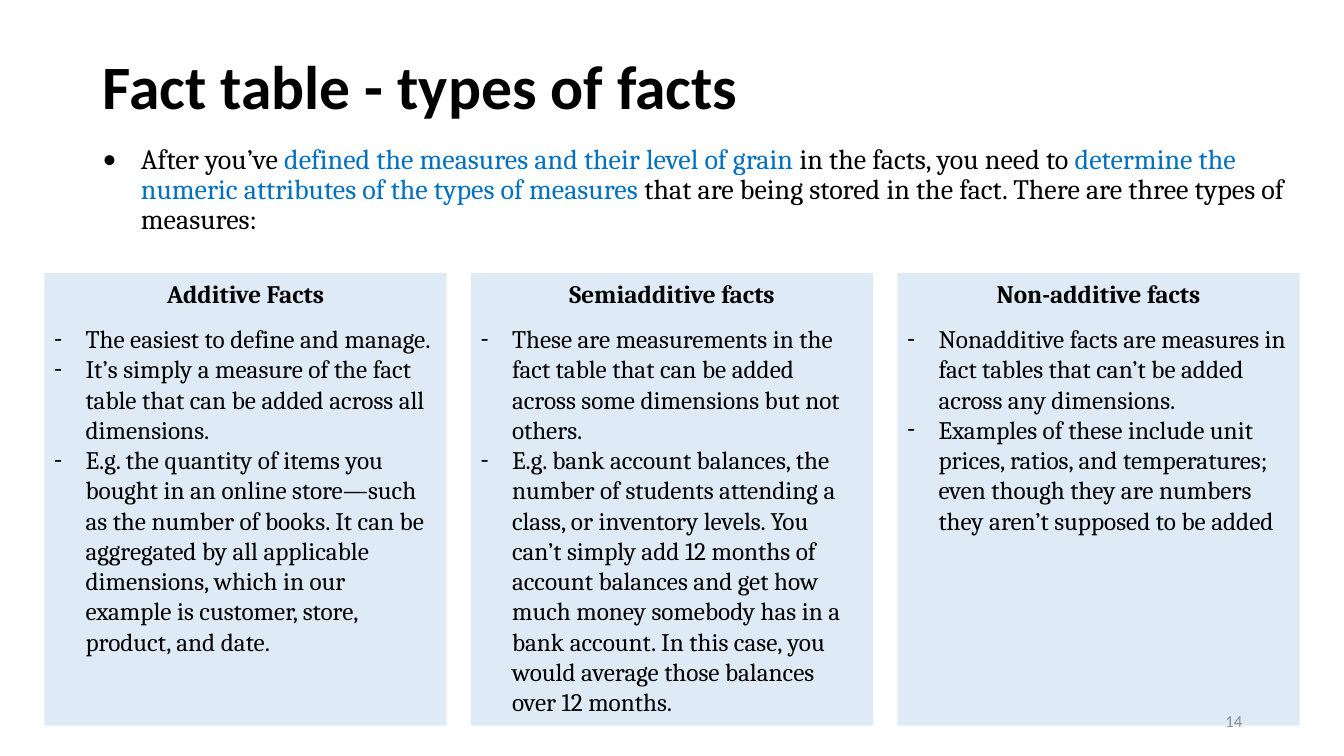
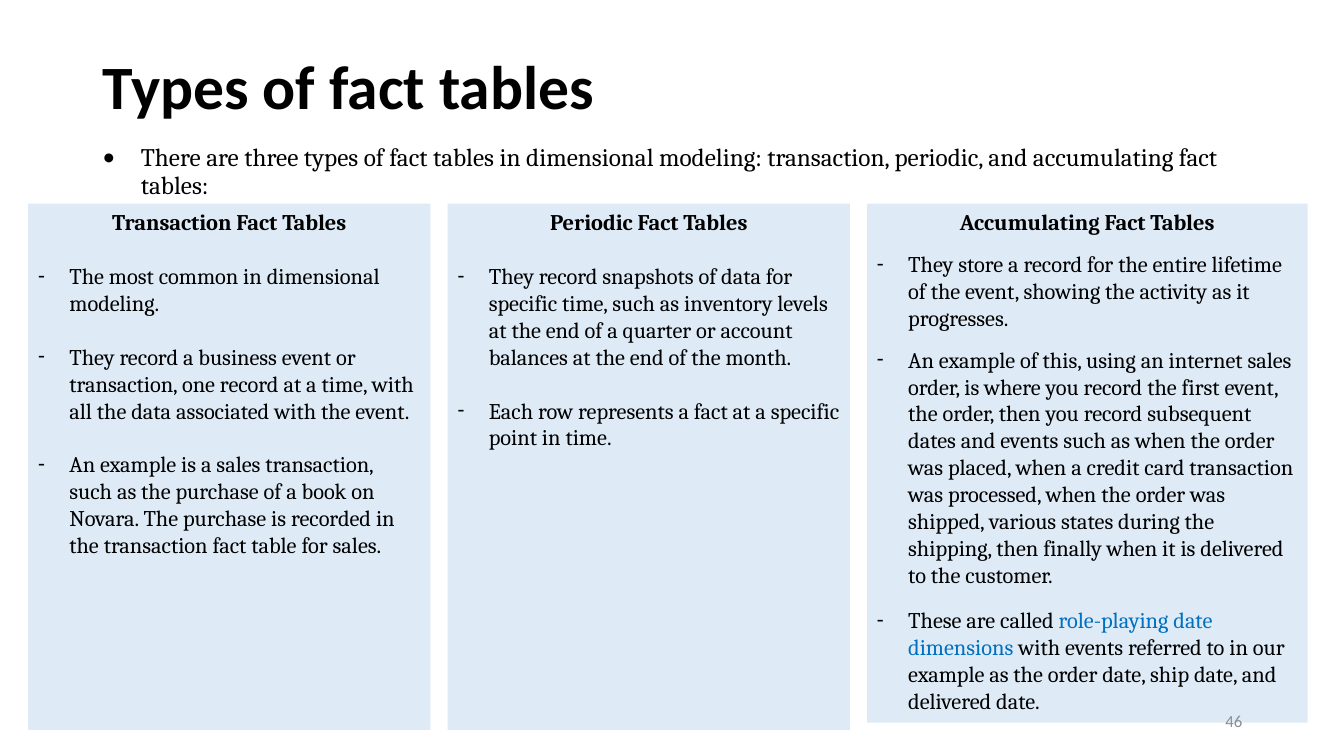
from lxml.etree import SubElement
from pptx import Presentation
from pptx.dml.color import RGBColor
from pptx.enum.shapes import MSO_SHAPE
from pptx.enum.text import MSO_ANCHOR, PP_ALIGN
from pptx.oxml.ns import qn
from pptx.util import Inches, Pt

# Theme: colours and type styles
theme = {
    "ink": RGBColor(0x00, 0x00, 0x00),
    "accent": RGBColor(0x00, 0x70, 0xC0),
    "panel": RGBColor(0xDE, 0xEB, 0xF7),
    "grey": RGBColor(0x8C, 0x8C, 0x8C),
    "title": {"name": "Calibri", "size": Pt(44), "bold": True},
    "text": {"name": "Cambria", "bold": False},
    "head": {"name": "Cambria", "bold": True},
    "page": {"name": "Calibri", "size": Pt(12), "bold": False},
}

# Content: text between bars is set in the accent colour;
# each panel point is (space before in points, text)
pages = [
    {
        "title": "Fact table - types of facts",
        "intro": "After you’ve |defined the measures and their level of grain |in the facts, "
                 "you need to |determine the numeric attributes of the types of measures |that are "
                 "being stored in the fact. There are three types of measures:",
        "number": "14", "intro size": 20, "size": 18,
        "left": 0.44, "top": 2.71, "gap": 0.24,
        "panels": [
            ("Additive Facts", 3.99, 4.49, [
                (10.8, "The easiest to define and manage."),
                (0, "It’s simply a measure of the fact table that can be added across all "
                    "dimensions."),
                (0, "E.g. the quantity of items you bought in an online store—such as the number "
                    "of books. It can be aggregated by all applicable dimensions, which in our "
                    "example is customer, store, product, and date."),
            ]),
            ("Semiadditive facts", 3.99, 4.49, [
                (10.8, "These are measurements in the fact table that can be added across some "
                       "dimensions but not others."),
                (0, "E.g. bank account balances, the number of students attending a class, or "
                    "inventory levels. You can’t simply add 12 months of account balances and get "
                    "how much money somebody has in a bank account. In this case, you would "
                    "average those balances over 12 months."),
            ]),
            ("Non-additive facts", 3.99, 4.49, [
                (10.8, "Nonadditive facts are measures in fact tables that can’t be added across "
                       "any dimensions."),
                (0, "Examples of these include unit prices, ratios, and temperatures; even though "
                    "they are numbers they aren’t supposed to be added"),
            ]),
        ],
    },
    {
        "title": "Types of fact tables",
        "intro": "There are three types of fact tables in dimensional modeling: transaction, "
                 "periodic, and accumulating fact tables:",
        "number": "46", "intro size": 18, "size": 16,
        "left": 0.28, "top": 2.02, "gap": 0.17,
        "panels": [
            ("Transaction Fact Tables", 3.99, 5.22, [
                (19.2, "The most common in dimensional modeling."),
                (19.2, "They record a business event or transaction, one record at a time, with "
                       "all the data associated with the event."),
                (19.2, "An example is a sales transaction, such as the purchase of a book on "
                       "Novara. The purchase is recorded in the transaction fact table for "
                       "sales."),
            ]),
            ("Periodic Fact Tables", 3.99, 5.22, [
                (19.2, "They record snapshots of data for specific time, such as inventory levels "
                       "at the end of a quarter or account balances at the end of the month."),
                (19.2, "Each row represents a fact at a specific point in time."),
            ]),
            ("Accumulating Fact Tables", 4.37, 5.15, [
                (10.5, "They store a record for the entire lifetime of the event, showing the "
                       "activity as it progresses."),
                (10.8, "An example of this, using an internet sales order, is where you record "
                       "the first event, the order, then you record subsequent dates and events "
                       "such as when the order was placed, when a credit card transaction was "
                       "processed, when the order was shipped, various states during the "
                       "shipping, then finally when it is delivered to the customer."),
                (13.2, "These are called |role-playing date dimensions| with events referred to "
                       "in our example as the order date, ship date, and delivered date."),
            ]),
        ],
    },
]


def write(para, text, style, color="ink", bullet=None, indent=0, **layout):
    """Fill a paragraph, with an optional hanging bullet."""
    if bullet:
        props = para._p.get_or_add_pPr()
        props.set("marL", str(Inches(indent)))
        props.set("indent", str(-Inches(indent)))
        SubElement(props, qn("a:buFont"), typeface="Calibri")
        SubElement(props, qn("a:buChar"), char=bullet)
    for key, value in layout.items():
        setattr(para, key, value)
    for i, part in enumerate(text.split("|")):
        run = para.add_run()
        run.text = part
        for key, value in style.items():
            setattr(run.font, key, value)
        run.font.color.rgb = theme["accent" if i % 2 else color]


def box(slide, left, top, width, height, anchor):
    """Add a wrapping text box and return its first paragraph."""
    frame = slide.shapes.add_textbox(
        Inches(left), Inches(top), Inches(width), Inches(height)).text_frame
    frame.word_wrap = True
    frame.vertical_anchor = anchor
    return frame.paragraphs[0]


deck = Presentation()
deck.slide_width, deck.slide_height = Inches(13.33), Inches(7.5)

for page in pages:
    slide = deck.slides.add_slide(deck.slide_layouts[6])

    # Title and introduction
    write(box(slide, 0.92, 0.16, 11.5, 1.45, MSO_ANCHOR.MIDDLE),
          page["title"], theme["title"], line_spacing=0.9)
    write(box(slide, 0.92, 1.39, 11.97, 5.15, MSO_ANCHOR.TOP),
          page["intro"], theme["text"] | {"size": Pt(page["intro size"])},
          bullet="•", indent=0.38, line_spacing=0.9)

    # Row of panels
    size = {"size": Pt(page["size"])}
    left = page["left"]
    for head, width, height, points in page["panels"]:
        panel = slide.shapes.add_shape(
            MSO_SHAPE.RECTANGLE, Inches(left), Inches(page["top"]),
            Inches(width), Inches(height))
        panel.shadow.inherit = False
        panel.fill.solid()
        panel.fill.fore_color.rgb = theme["panel"]
        panel.line.fill.background()
        frame = panel.text_frame
        frame.word_wrap = True
        frame.vertical_anchor = MSO_ANCHOR.TOP
        write(frame.paragraphs[0], head, theme["head"] | size, alignment=PP_ALIGN.CENTER)
        for space, text in points:
            write(frame.add_paragraph(), text, theme["text"] | size, bullet="-",
                  indent=0.31, alignment=PP_ALIGN.LEFT, space_before=Pt(space))
        left += width + page["gap"]

    # Page number
    write(box(slide, 9.42, 6.95, 3, 0.4, MSO_ANCHOR.MIDDLE),
          page["number"], theme["page"], color="grey", alignment=PP_ALIGN.RIGHT)

deck.save("out.pptx")
